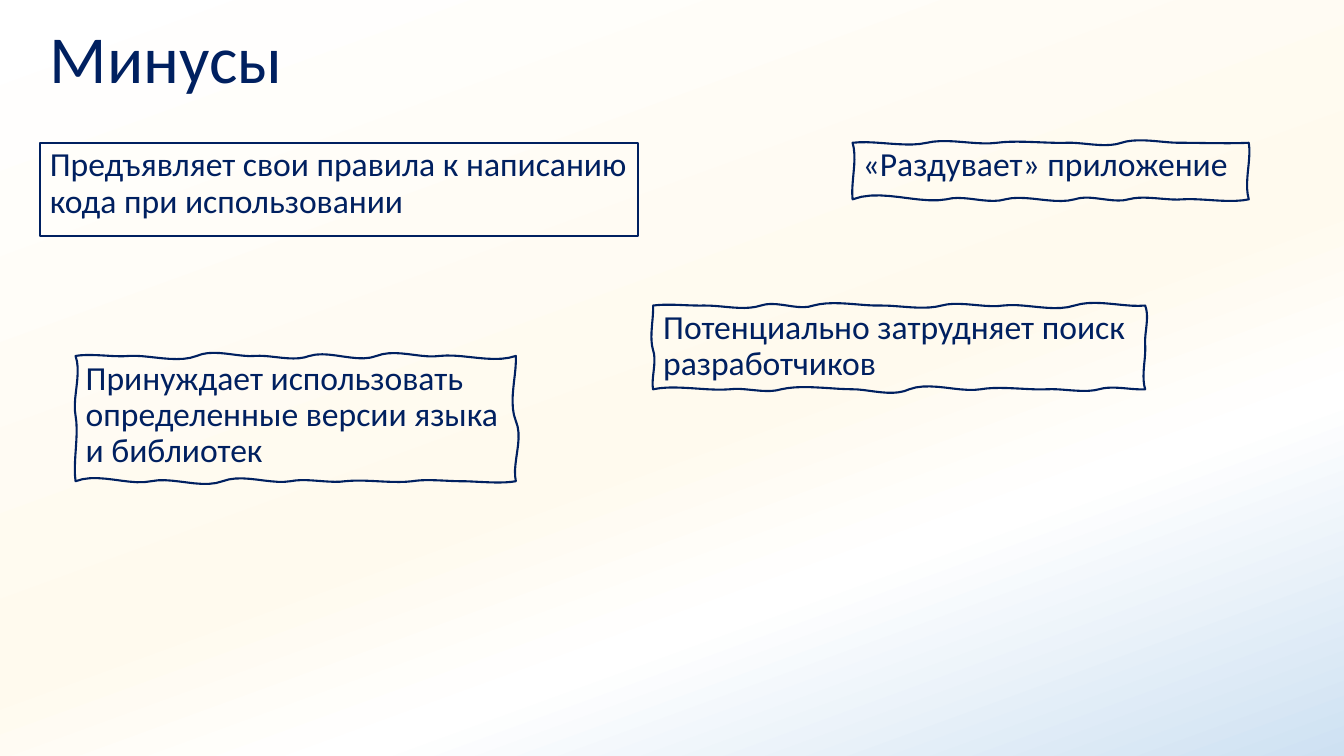
from copy import deepcopy
from pptx import Presentation
from pptx.dml.color import RGBColor
from pptx.enum.text import MSO_ANCHOR, MSO_AUTO_SIZE, PP_ALIGN
from pptx.oxml import parse_xml
from pptx.oxml.ns import nsdecls, qn
from pptx.util import Pt

COLORS = {"navy": "002060", "white": "FFFFFF", "cream": "FFFAEE", "sky": "CEE1F2"}
STOPS = [(0, "white"), (0.55, "cream"), (0.71, "white"), (1, "sky")]
STEPS = 10

# Wavy frames: text, (left, top, width, height), then four edges clockwise
# from the top left. Each knot is (distance along edge, outward bulge after it).
FRAMES = [
    ("«Раздувает» приложение", (609, 102, 283, 40.4), [
        [(0, 2), (53, 3.6), (103, 2), (153, 0.5), (192, 4), (233, 0), (283, 0.7)],
        [(0, 2), (40.4, 3.6)],
        [(0, 3), (47.5, 1), (86, 3.2), (124.5, 4), (174, 3.8), (216, 3.6), (283, 7.9)],
        [(0, 1.4), (40.4, 3.6)]]),
    ("Принуждает использовать определенные версии языка и библиотек",
     (54, 254.3, 314.5, 89.5), [
        [(0, 2), (38, 1), (86.5, 5.5), (128, 1), (167, 4.5), (215, 5.5),
         (260, 2), (314.5, 5.7)],
        [(0, 0.7), (46.5, 5.6), (89.5, 2.9)],
        [(0, 2), (39, 0), (74, 1.8), (122, 1.7), (161, 2.5), (209.5, 5.7),
         (260.5, 3.4), (314.5, 6.5)],
        [(0, 2), (46.8, 2.5), (89.5, 4.5)]]),
    ("Потенциально затрудняет поиск разработчиков", (466.5, 218.3, 351.5, 59.8), [
        [(0, 1.5), (36.5, 0.3), (77, 4), (114.5, 4), (162, 0.3), (206, 3.6),
         (250, 2), (301, 5), (351.5, 1.5)],
        [(0, 3.3), (28, 0.7), (59.8, 3)],
        [(0, 0.7), (33, 3), (70, 0.7), (117.5, 2.5), (168.5, 5.7), (209, 0),
         (260, 3.5), (296.5, 1.5), (351.5, 3.5)],
        [(0, 1.5), (28, 2.9), (59.8, 0.5)]]),
]


def color(name):
    return RGBColor.from_string(COLORS[name])


def paint(slide):
    """Fill the background with the four-stop gradient."""
    fill = slide.background.fill
    fill.gradient()
    fill.gradient_angle = 290
    group = slide.element.find(".//" + qn("a:gsLst"))
    while len(group) < len(STOPS):
        group.append(deepcopy(group[0]))
    for stop, (place, name) in zip(fill.gradient_stops, STOPS):
        stop.position = place
        stop.color.rgb = color(name)


def place(shape, left, top, width, height):
    shape.left, shape.top = Pt(left), Pt(top)
    shape.width, shape.height = Pt(width), Pt(height)


def write(shape, text, size, anchor=MSO_ANCHOR.TOP):
    frame = shape.text_frame
    frame.word_wrap = True
    frame.auto_size = MSO_AUTO_SIZE.NONE
    frame.vertical_anchor = anchor
    para = frame.paragraphs[0]
    para.alignment = PP_ALIGN.LEFT
    para.line_spacing = 0.9
    para.space_before = Pt(0)
    run = para.add_run()
    run.text = text
    run.font.name = "Calibri"
    run.font.size = Pt(size)
    run.font.color.rgb = color("navy")
    return para


def outline(shape):
    shape.fill.background()
    shape.line.color.rgb = color("navy")
    shape.line.width = Pt(1.5)


def wave(knots):
    """Give (along, outward) points of a smooth curve through the knots."""
    for (start, lead), (end, tail) in zip(knots, knots[1:]):
        for step in range(1, STEPS + 1):
            t = step / STEPS
            u = 1 - t
            span = 0.9 * u * u * t + 2.1 * u * t * t + t ** 3
            yield start + (end - start) * span, 3 * u * t * (u * lead - t * tail)


def trace(box, edges):
    """Turn the four waves into points on the slide."""
    left, top, width, height = box
    right, base = left + width, top + height
    sides = [(left, top, 1, 0), (right, top, 0, 1),
             (right, base, -1, 0), (left, base, 0, -1)]
    return [(Pt(x + dx * along + dy * out), Pt(y + dy * along - dx * out))
            for (x, y, dx, dy), knots in zip(sides, edges)
            for along, out in wave(knots)]


def sketch(slide, text, box, edges):
    """Draw a wavy frame with its text set in from the straight box."""
    left, top, width, height = box
    pen = slide.shapes.build_freeform(Pt(left), Pt(top))
    pen.add_line_segments(trace(box, edges), close=True)
    shape = pen.convert_to_shape()
    shape.shadow.inherit = False
    outline(shape)
    write(shape, text, 24)
    frame = shape.text_frame
    frame.margin_left = Pt(left + 7.2) - shape.left
    frame.margin_top = Pt(top + 3.6) - shape.top
    frame.margin_right = shape.left + shape.width - Pt(left + width - 7.2)
    frame.margin_bottom = Pt(3.6)


def main():
    deck = Presentation()
    deck.slide_width, deck.slide_height = Pt(960), Pt(540)
    slide = deck.slides.add_slide(deck.slide_layouts[1])
    paint(slide)

    # Title
    title = slide.shapes.title
    place(title, 28.4, 14.4, 903.6, 59.8)
    write(title, "Минусы", 48, MSO_ANCHOR.MIDDLE)

    # First drawback, in the body placeholder
    body = slide.placeholders[1]
    place(body, 28.4, 102, 427.5, 66.5)
    outline(body)
    para = write(body, "Предъявляет свои правила к написанию кода при использовании", 24)
    props = para._p.get_or_add_pPr()
    props.set("marL", "0")
    props.set("indent", "0")
    props.append(parse_xml(f"<a:buNone {nsdecls('a')}/>"))

    # Other drawbacks
    for text, box, edges in FRAMES:
        sketch(slide, text, box, edges)
    deck.save("out.pptx")


if __name__ == "__main__":
    main()
